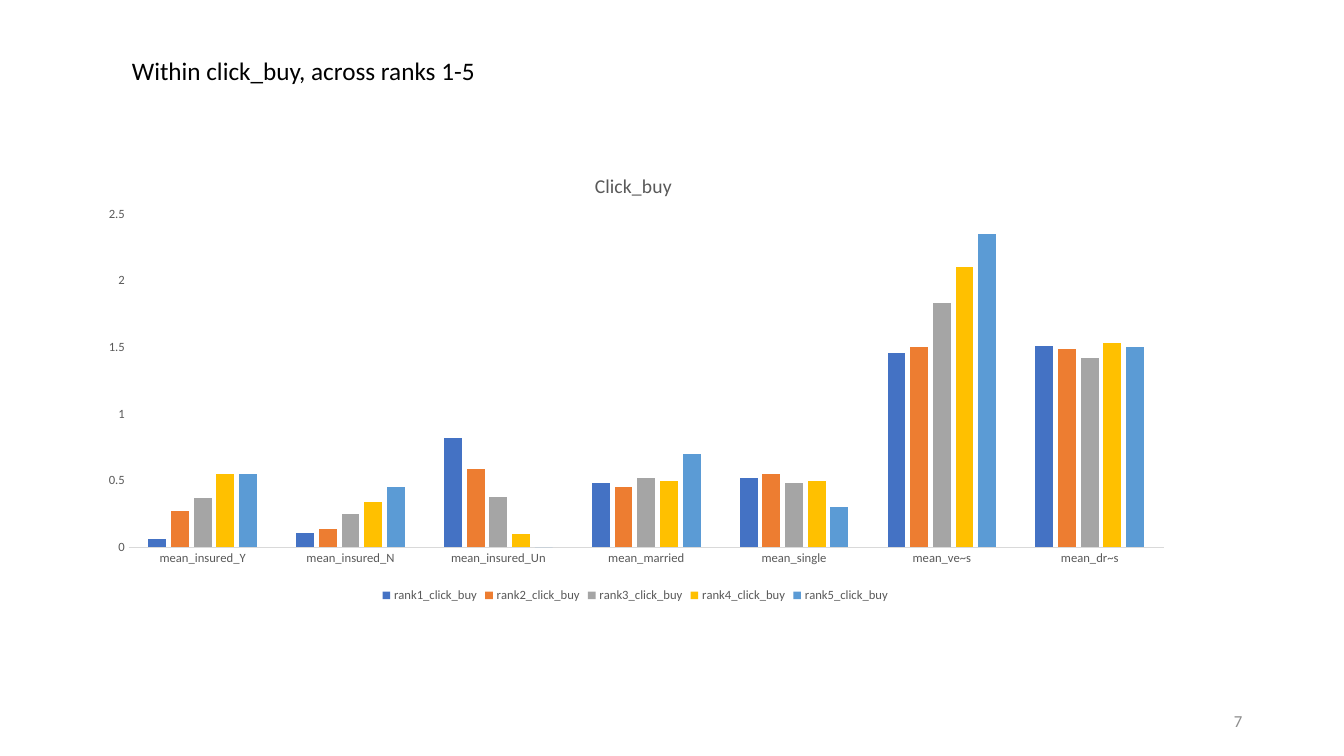
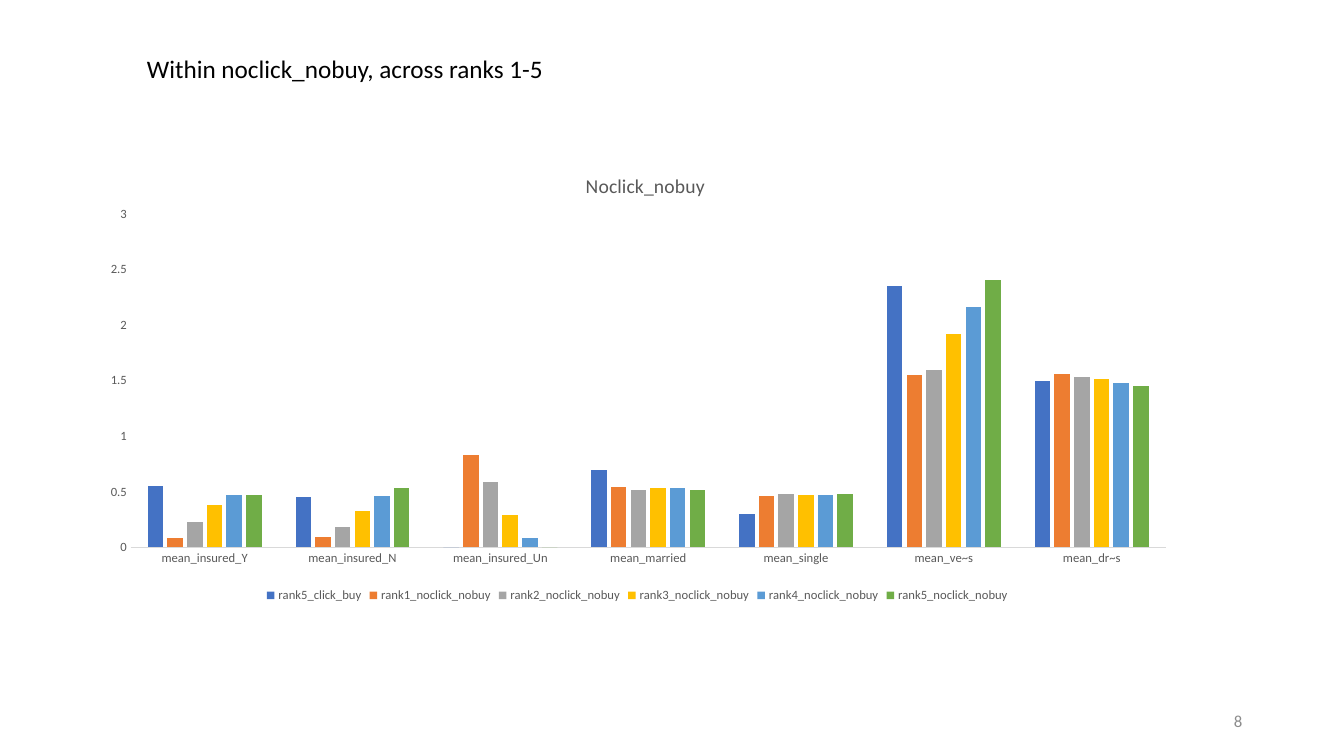
"""Builds two slides of clustered column charts comparing ranks 1-5."""
from dataclasses import dataclass

from lxml import etree
from pptx import Presentation
from pptx import util as u
from pptx.chart.data import CategoryChartData
from pptx.dml.color import RGBColor
from pptx.enum import chart as ch
from pptx.enum import text
from pptx.oxml.ns import qn


@dataclass(frozen=True)
class Theme:
    font: str = "Calibri"
    ink: str = "000000"
    label: str = "595959"
    number: str = "8C8C8C"
    axis: str = "D9D9D9"
    series: tuple = ("4472C4", "ED7D31", "A5A5A5", "FFC000", "5B9BD5", "70AD47")
    title_size: int = 18
    chart_title_size: int = 14
    number_size: int = 12
    label_size: int = 9


theme = Theme()
categories = ["mean_insured_Y", "mean_insured_N", "mean_insured_Un", "mean_married",
              "mean_single", "mean_ve~s", "mean_dr~s"]
rank5_click_buy = ("rank5_click_buy", [0.55, 0.45, 0, 0.7, 0.3, 2.35, 1.5])
slides = [
    dict(title="Within click_buy, across ranks 1-5", title_at=(1.21, 0.5, 3.64),
         chart_title="Click_buy", chart_title_x=0.46, chart_left=0.84, top_value=2.5, number="7",
         series=[
             ("rank1_click_buy", [0.06, 0.11, 0.82, 0.48, 0.52, 1.46, 1.51]),
             ("rank2_click_buy", [0.27, 0.14, 0.59, 0.45, 0.55, 1.5, 1.49]),
             ("rank3_click_buy", [0.37, 0.25, 0.38, 0.52, 0.48, 1.83, 1.42]),
             ("rank4_click_buy", [0.55, 0.34, 0.1, 0.5, 0.5, 2.1, 1.53]),
             rank5_click_buy]),
    dict(title="Within noclick_nobuy, across ranks 1-5", title_at=(1.36, 0.48, 4.17),
         chart_title="Noclick_nobuy", chart_title_x=0.45, chart_left=0.86, top_value=3, number="8",
         series=[
             rank5_click_buy,
             ("rank1_noclick_nobuy", [0.08, 0.09, 0.83, 0.54, 0.46, 1.55, 1.56]),
             ("rank2_noclick_nobuy", [0.23, 0.18, 0.59, 0.52, 0.48, 1.6, 1.53]),
             ("rank3_noclick_nobuy", [0.38, 0.33, 0.29, 0.53, 0.47, 1.92, 1.52]),
             ("rank4_noclick_nobuy", [0.47, 0.46, 0.08, 0.53, 0.47, 2.16, 1.48]),
             ("rank5_noclick_nobuy", [0.47, 0.53, 0, 0.52, 0.48, 2.41, 1.45])]),
]


def style(font, size, color):
    font.name = theme.font
    font.size = u.Pt(size)
    font.bold = False
    font.color.rgb = RGBColor.from_string(color)


def set_layout(parent, **values):
    for old in parent.findall(qn("c:layout")):
        parent.remove(old)
    layout = etree.Element(qn("c:layout"))
    manual = etree.SubElement(layout, qn("c:manualLayout"))
    for tag, val in values.items():
        etree.SubElement(manual, qn("c:" + tag)).set("val", str(val))
    before = parent.find(qn("c:tx"))
    parent.insert(0 if before is None else parent.index(before) + 1, layout)


prs = Presentation()
prs.slide_width, prs.slide_height = u.Inches(13.33), u.Inches(7.5)

for page in slides:
    s = prs.slides.add_slide(prs.slide_layouts[6])

    left, top, width = page["title_at"]
    sp = s.shapes.add_textbox(u.Inches(left), u.Inches(top), u.Inches(width), u.Inches(0.4))
    tf = sp.text_frame
    tf.word_wrap = False
    tf.auto_size = text.MSO_AUTO_SIZE.SHAPE_TO_FIT_TEXT
    r = tf.paragraphs[0].add_run()
    r.text = page["title"]
    style(r.font, theme.title_size, theme.ink)

    data = CategoryChartData()
    data.categories = categories
    for name, values in page["series"]:
        data.add_series(name, values)
    chart = s.shapes.add_chart(ch.XL_CHART_TYPE.COLUMN_CLUSTERED, u.Inches(page["chart_left"]),
                               u.Inches(1.49), u.Inches(10.92), u.Inches(4.53), data).chart
    style(chart.font, theme.label_size, theme.label)

    chart.has_title = True
    r = chart.chart_title.text_frame.paragraphs[0].add_run()
    r.text = page["chart_title"]
    style(r.font, theme.chart_title_size, theme.label)
    chart_xml = chart.chart_title._element.getparent()
    set_layout(chart_xml.find(qn("c:title")), xMode="edge", yMode="edge",
               x=page["chart_title_x"], y=0.04)
    set_layout(chart_xml.find(qn("c:plotArea")), layoutTarget="inner", xMode="edge",
               yMode="edge", x=0.04, y=0.14, w=0.94, h=0.73)

    chart.has_legend = True
    chart.legend.position = ch.XL_LEGEND_POSITION.BOTTOM
    chart.legend.include_in_layout = False
    style(chart.legend.font, theme.label_size, theme.label)

    for axis in (chart.category_axis, chart.value_axis):
        axis.has_major_gridlines = False
        axis.major_tick_mark = axis.minor_tick_mark = ch.XL_TICK_MARK.NONE
        style(axis.tick_labels.font, theme.label_size, theme.label)
    line = chart.category_axis.format.line
    line.color.rgb = RGBColor.from_string(theme.axis)
    line.width = u.Pt(0.75)
    chart.value_axis.format.line.fill.background()
    chart.value_axis.minimum_scale = 0
    chart.value_axis.maximum_scale = page["top_value"]
    chart.value_axis.major_unit = 0.5
    chart.value_axis.tick_labels.number_format = "General"
    chart.value_axis.tick_labels.number_format_is_linked = False

    plot = chart.plots[0]
    plot.vary_by_categories = False
    plot.gap_width, plot.overlap = 219, -27
    for series, color in zip(plot.series, theme.series):
        series.format.fill.solid()
        series.format.fill.fore_color.rgb = RGBColor.from_string(color)

    sp = s.shapes.add_textbox(u.Inches(9.42), u.Inches(6.95), u.Inches(3), u.Inches(0.4))
    tf = sp.text_frame
    tf.word_wrap = True
    tf.vertical_anchor = text.MSO_ANCHOR.MIDDLE
    p = tf.paragraphs[0]
    p.alignment = text.PP_ALIGN.RIGHT
    r = p.add_run()
    r.text = page["number"]
    style(r.font, theme.number_size, theme.number)

prs.save("out.pptx")
